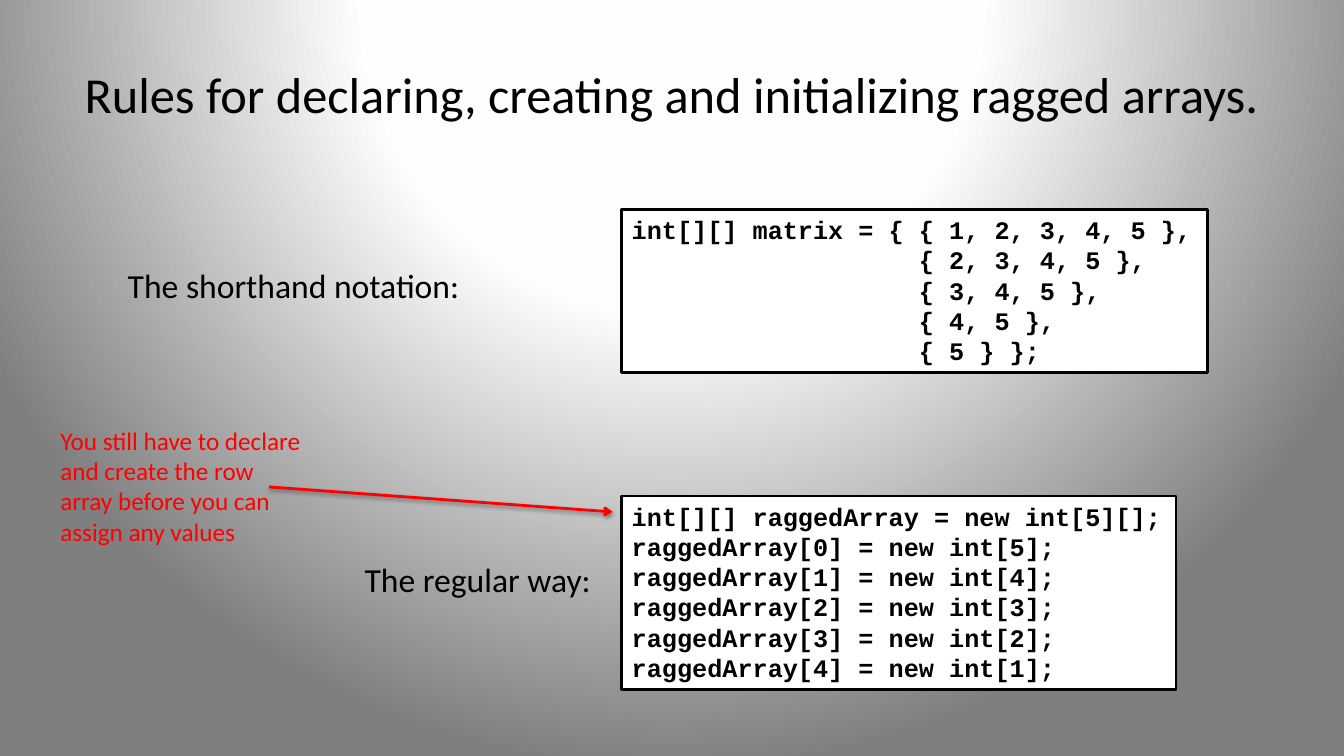
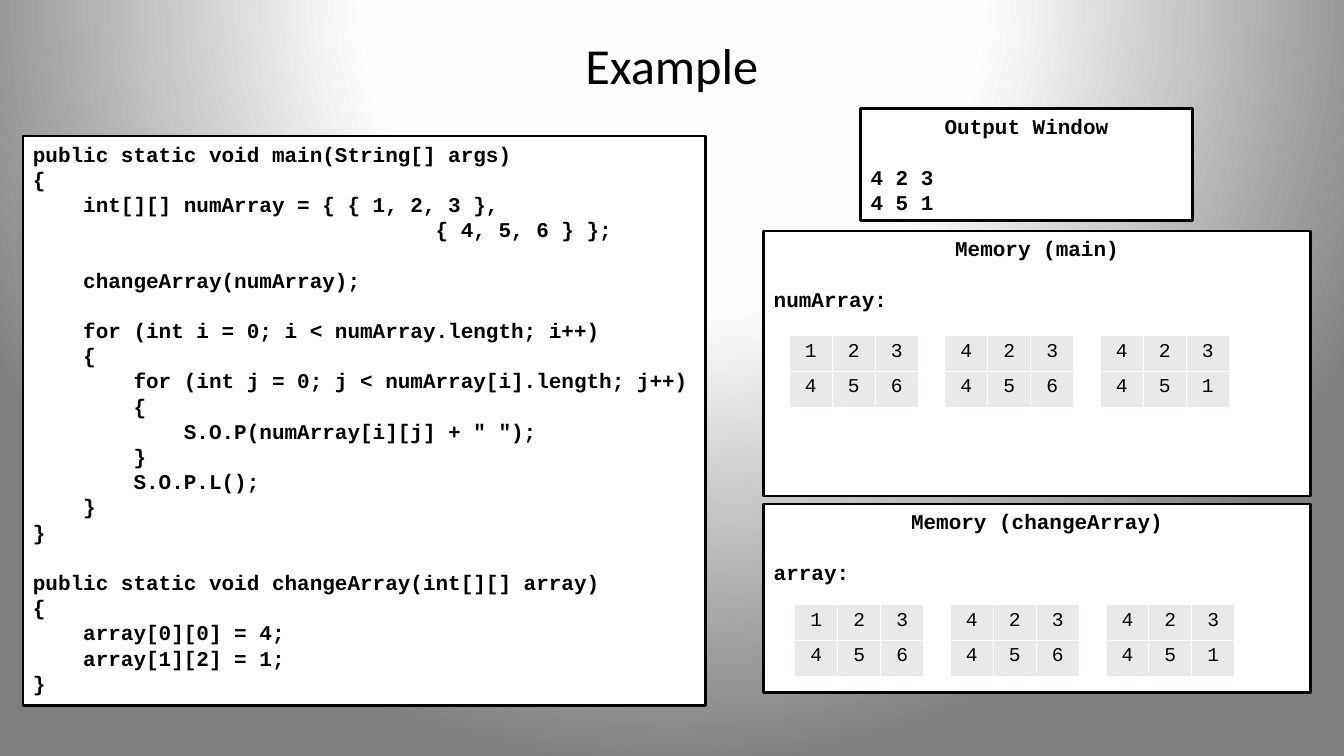
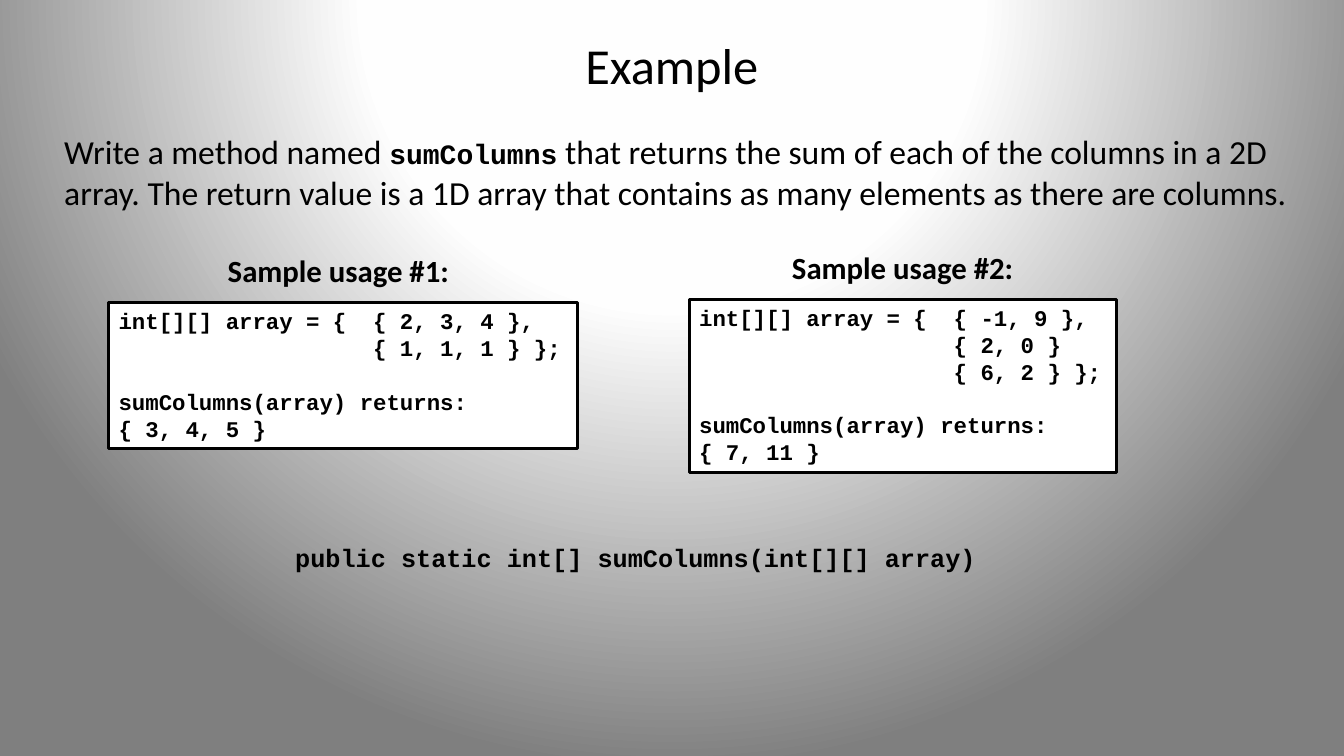
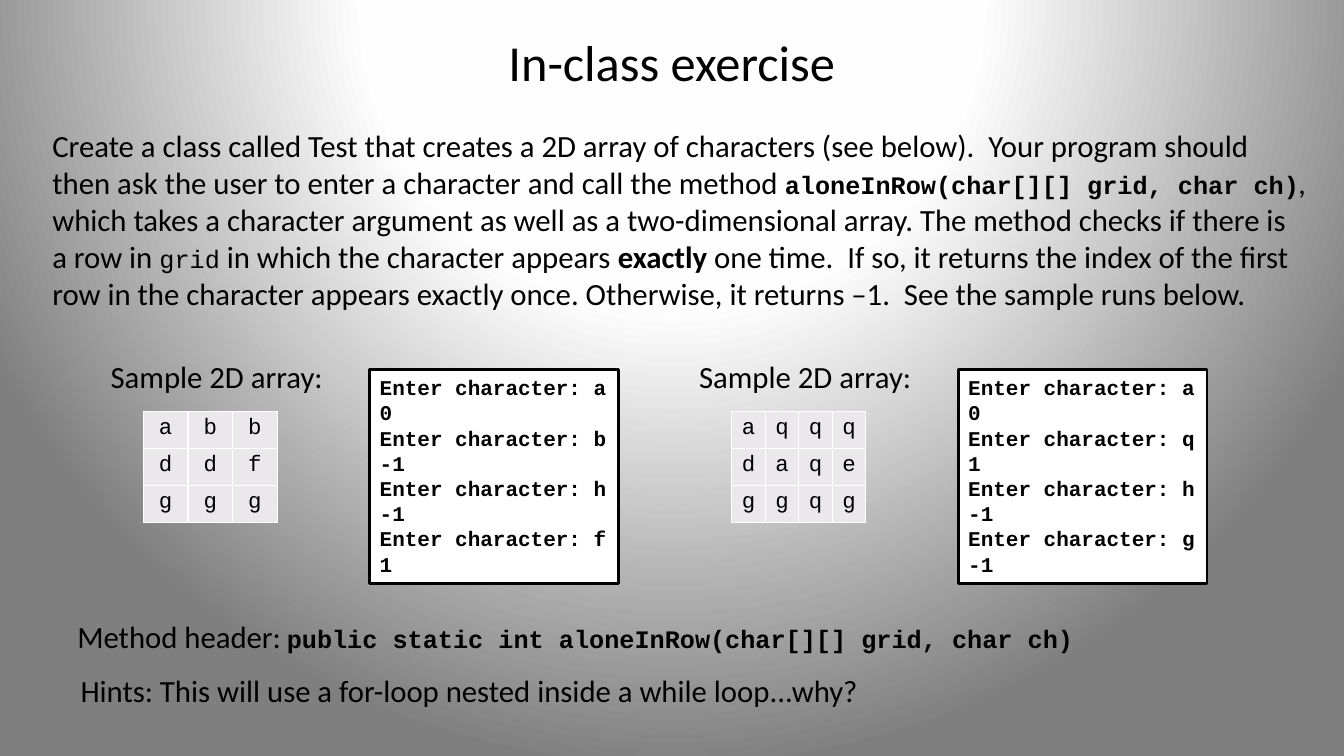
from dataclasses import dataclass, replace

from pptx import Presentation
from pptx.dml.color import RGBColor
from pptx.enum.shapes import MSO_CONNECTOR, MSO_SHAPE
from pptx.enum.text import MSO_ANCHOR, MSO_AUTO_SIZE, PP_ALIGN
from pptx.oxml import parse_xml
from pptx.oxml.ns import nsdecls, qn
from pptx.util import Cm, Pt


@dataclass(frozen=True)
class Style:
    size: float
    font: str = "Calibri"
    bold: bool = False
    italic: bool = False
    color: str = "000000"


@dataclass(frozen=True)
class Theme:
    ink: str = "000000"
    paper: str = "FFFFFF"
    cell: str = "EAE8EA"
    alert: str = "FF0000"
    glow: tuple = ((0, "FFFFFF"), (40, "FEFEFE"), (100, "7F7F7F"))
    mono: str = "Courier New"
    line: float = 2
    line_height: float = 1.2
    title: Style = Style(36)
    lead: Style = Style(24)
    body: Style = Style(22)
    note: Style = Style(18, color="FF0000")
    code: Style = Style(18, "Courier New", bold=True)
    grid: Style = Style(16, "Courier New")

    def code_at(self, size):
        return replace(self.code, size=size)


class Deck:
    def __init__(self, theme):
        self.theme = theme
        self.prs = Presentation()
        self.prs.slide_width, self.prs.slide_height = Cm(33.87), Cm(19.05)
        self.s = None
        self.background()

    def background(self):
        master = self.prs.slide_master
        master.background.fill.solid()
        stops = "".join(
            f'<a:gs pos="{pos * 1000}"><a:srgbClr val="{color}"/></a:gs>'
            for pos, color in self.theme.glow
        )
        bg = master.element.find(".//" + qn("p:bgPr"))
        bg.replace(bg[0], parse_xml(
            f'<a:gradFill {nsdecls("a")} rotWithShape="1"><a:gsLst>{stops}</a:gsLst>'
            '<a:path path="circle">'
            '<a:fillToRect l="50000" t="-80000" r="50000" b="180000"/>'
            '</a:path></a:gradFill>'
        ))

    def slide(self, title, top, height):
        self.s = self.prs.slides.add_slide(self.prs.slide_layouts[5])
        sp = self.s.shapes.title
        sp.left, sp.top, sp.width, sp.height = Cm(1.69), Cm(top), Cm(30.48), Cm(height)
        tf = sp.text_frame
        tf.word_wrap = True
        tf.auto_size = MSO_AUTO_SIZE.NONE
        tf.vertical_anchor = MSO_ANCHOR.MIDDLE
        self.runs(tf.paragraphs[0], [(title, self.theme.title)], PP_ALIGN.CENTER)

    def runs(self, p, parts, align=PP_ALIGN.LEFT):
        p.alignment = align
        for text, style in parts:
            for i, piece in enumerate(text.split("\n")):
                if i:
                    p.add_line_break()
                if not piece:
                    continue
                r = p.add_run()
                r.text = piece
                r.font.name = style.font
                r.font.size = Pt(style.size)
                r.font.bold = style.bold
                r.font.italic = style.italic
                r.font.color.rgb = RGBColor.from_string(style.color)

    def lines(self, tf, text, style, first_align=PP_ALIGN.LEFT):
        gap = 0
        for i, line in enumerate(text.split("\n")):
            if not line:
                gap += style.size * self.theme.line_height
                continue
            p = tf.add_paragraph() if i else tf.paragraphs[0]
            if gap:
                p.space_before = Pt(gap)
            self.runs(p, [(line, style)], PP_ALIGN.LEFT if i else first_align)
            gap = 0

    def frame(self, sp, wrap=False):
        tf = sp.text_frame
        tf.word_wrap = wrap
        tf.auto_size = MSO_AUTO_SIZE.NONE if wrap else MSO_AUTO_SIZE.SHAPE_TO_FIT_TEXT
        tf.vertical_anchor = MSO_ANCHOR.TOP
        return tf

    def text(self, box, text, style):
        sp = self.s.shapes.add_textbox(*map(Cm, box))
        self.lines(self.frame(sp), text, style)

    def rich(self, box, parts):
        sp = self.s.shapes.add_textbox(*map(Cm, box))
        self.runs(self.frame(sp).paragraphs[0], parts)

    def box(self, box):
        sp = self.s.shapes.add_shape(MSO_SHAPE.RECTANGLE, *map(Cm, box))
        sp.shadow.inherit = False
        sp.fill.solid()
        sp.fill.fore_color.rgb = RGBColor.from_string(self.theme.paper)
        sp.line.color.rgb = RGBColor.from_string(self.theme.ink)
        sp.line.width = Pt(self.theme.line)
        return sp

    def code(self, box, text, size=18):
        self.lines(self.frame(self.box(box)), text, self.theme.code_at(size))

    def panel(self, box, text):
        tf = self.frame(self.box(box), wrap=True)
        self.lines(tf, text, self.theme.code_at(15), PP_ALIGN.CENTER)

    def arrow(self, start, end):
        c = self.s.shapes.add_connector(MSO_CONNECTOR.STRAIGHT, *map(Cm, start + end))
        c.line.color.rgb = RGBColor.from_string(self.theme.alert)
        c.line.width = Pt(self.theme.line)
        c.line._get_or_add_ln().append(parse_xml(f'<a:tailEnd {nsdecls("a")} type="arrow"/>'))
        c._element.spPr.append(parse_xml(
            f'<a:effectLst {nsdecls("a")}>'
            '<a:outerShdw blurRad="40000" dist="20000" dir="5400000" rotWithShape="0">'
            f'<a:srgbClr val="{self.theme.ink}"><a:alpha val="38000"/></a:srgbClr>'
            '</a:outerShdw></a:effectLst>'
        ))

    def grid(self, box, rows, size=16):
        table = self.s.shapes.add_table(len(rows), len(rows[0]), *map(Cm, box)).table
        table.first_row = table.horz_banding = False
        style = replace(self.theme.grid, size=size)
        for row, values in enumerate(rows):
            for col, value in enumerate(values):
                cell = table.cell(row, col)
                cell.fill.solid()
                cell.fill.fore_color.rgb = RGBColor.from_string(self.theme.cell)
                self.runs(cell.text_frame.paragraphs[0], [(value, style)], PP_ALIGN.CENTER)
                self.borders(cell)

    def borders(self, cell):
        tcPr = cell._tc.get_or_add_tcPr()
        for i, side in enumerate(("lnL", "lnR", "lnT", "lnB")):
            tcPr.insert(i, parse_xml(
                f'<a:{side} {nsdecls("a")} w="12700"><a:solidFill>'
                f'<a:srgbClr val="{self.theme.paper}"/></a:solidFill></a:{side}>'
            ))


MATRIX = """int[][] matrix = { { 1, 2, 3, 4, 5 },
                   { 2, 3, 4, 5 },
                   { 3, 4, 5 },
                   { 4, 5 },
                   { 5 } };"""

RAGGED = "\n".join(
    ["int[][] raggedArray = new int[5][];"]
    + [f"raggedArray[{i}] = new int[{5 - i}];" for i in range(5)]
)

PROGRAM = """public static void main(String[] args)
{
    int[][] numArray = { { 1, 2, 3 },
                                { 4, 5, 6 } };

    changeArray(numArray);

    for (int i = 0; i < numArray.length; i++)
    {
        for (int j = 0; j < numArray[i].length; j++)
        {
            S.O.P(numArray[i][j] + " ");
        }
        S.O.P.L();
    }
}

public static void changeArray(int[][] array)
{
    array[0][0] = 4;
    array[1][2] = 1;
}"""

USAGE_1 = """int[][] array = {  { 2, 3, 4 },
                   { 1, 1, 1 } };

sumColumns(array) returns:
{ 3, 4, 5 }"""

USAGE_2 = """int[][] array = {  { -1, 9 },
                   { 2, 0 }
                   { 6, 2 } };

sumColumns(array) returns:
{ 7, 11 }"""


def ragged_rules(d):
    t = d.theme
    d.slide("Rules for declaring, creating and initializing ragged arrays.", 0.76, 3.18)
    d.code((15.67, 5.28, 14.76, 4.11), MATRIX)
    d.text((2.97, 6.55, 8.97, 1.27), "The shorthand notation:", t.lead)
    d.code((15.67, 12.5, 13.97, 4.88), RAGGED)
    d.text((8.94, 13.97, 6.3, 1.27), "The regular way:", t.lead)
    d.text(
        (1.27, 10.59, 6.71, 3.33),
        "You still have to declare\nand create the row\narray before you can\nassign any values",
        t.note,
    )
    d.arrow((6.78, 12.27), (15.44, 12.9))


def memory_example(d):
    d.slide("Example", 0.64, 1.98)
    d.code((0.58, 3.43, 17.2, 14.35), PROGRAM, 15)
    d.panel((21.69, 2.74, 8.36, 2.82), "Output Window\n\n4 2 3\n4 5 1")
    d.panel((19.25, 5.82, 13.77, 6.68), "Memory (main)\n\nnumArray:")
    d.panel((19.25, 12.7, 13.77, 4.75), "Memory (changeArray)\n\narray:")
    states = (("123", "456"), ("423", "456"), ("423", "451"))
    for left, top in ((19.89, 8.46), (20.03, 15.24)):
        for i, state in enumerate(states):
            d.grid((left + 3.92 * i, top, 3.25, 1.8), state, 14)


def sum_columns(d):
    t = d.theme
    d.slide("Example", 0.64, 1.98)
    d.rich((1.37, 3.18, 31.85, 2.31), [
        ("Write a method named ", t.lead),
        ("sumColumns", t.code_at(20)),
        (" that returns the sum of each of the columns in a 2D\n"
         "array. The return value is a 1D array that contains as many elements"
         " as there are columns.", t.lead),
    ])
    d.text((7.19, 13.54, 17.83, 1.02), "public static int[] sumColumns(int[][] array)", t.code)
    usages = (
        (5.49, 6.22, (2.74, 7.62, 11.81, 3.68), USAGE_1),
        (19.71, 6.15, (17.37, 7.54, 10.77, 4.37), USAGE_2),
    )
    for number, (left, top, box, usage) in enumerate(usages, 1):
        d.code(box, usage, 16)
        d.text((left, top, 6.17, 1.19), f"Sample usage #{number}:", replace(t.body, bold=True))


def exercise(d):
    t = d.theme
    d.slide("In-class exercise", 0.43, 2.21)
    d.rich((1.07, 3.07, 32.66, 4.95), [
        ("Create a class called Test that creates a 2D array of characters (see below)."
         "  Your program should\n"
         "then ask the user to enter a character and call the method ", t.body),
        ("aloneInRow(char[][] grid, char ch)", t.code),
        (",\n", replace(t.body, italic=True)),
        ("which takes a character argument as well as a two-dimensional array."
         " The method checks if there is\na row in ", t.body),
        ("grid", replace(t.code, bold=False)),
        (" in which the character appears ", t.body),
        ("exactly ", replace(t.body, bold=True)),
        ("one time.  If so, it returns the index of the first\n"
         "row in the character appears exactly once. Otherwise, it returns –1."
         "  See the sample runs below.", t.body),
    ])
    samples = (
        (("abb", "ddf", "ggg"), (("a", 0), ("b", -1), ("h", -1), ("f", 1))),
        (("aqqq", "daqe", "ggqg"), (("a", 0), ("q", 1), ("h", -1), ("g", -1))),
    )
    for i, (rows, answers) in enumerate(samples):
        x = 14.83 * i
        d.text((2.54 + x, 8.89, 5.94, 1.19), "Sample 2D array:", t.body)
        d.grid((3.61 + x, 10.36, 3.38, 2.79), rows)
        session = "\n".join(f"Enter character: {ch}\n{index}" for ch, index in answers)
        d.code((9.32 + x, 9.32, 6.27, 5.38), session, 15)
    d.rich((1.7, 15.44, 25.86, 1.19), [
        ("Method header:", t.body),
        (" ", replace(t.body, size=18)),
        ("public static int aloneInRow(char[][] grid, char ch)", t.code),
    ])
    d.text(
        (1.78, 16.79, 20.45, 1.19),
        "Hints: This will use a for-loop nested inside a while loop...why?",
        t.body,
    )


def main():
    d = Deck(Theme())
    for build in (ragged_rules, memory_example, sum_columns, exercise):
        build(d)
    d.prs.save("out.pptx")


if __name__ == "__main__":
    main()
